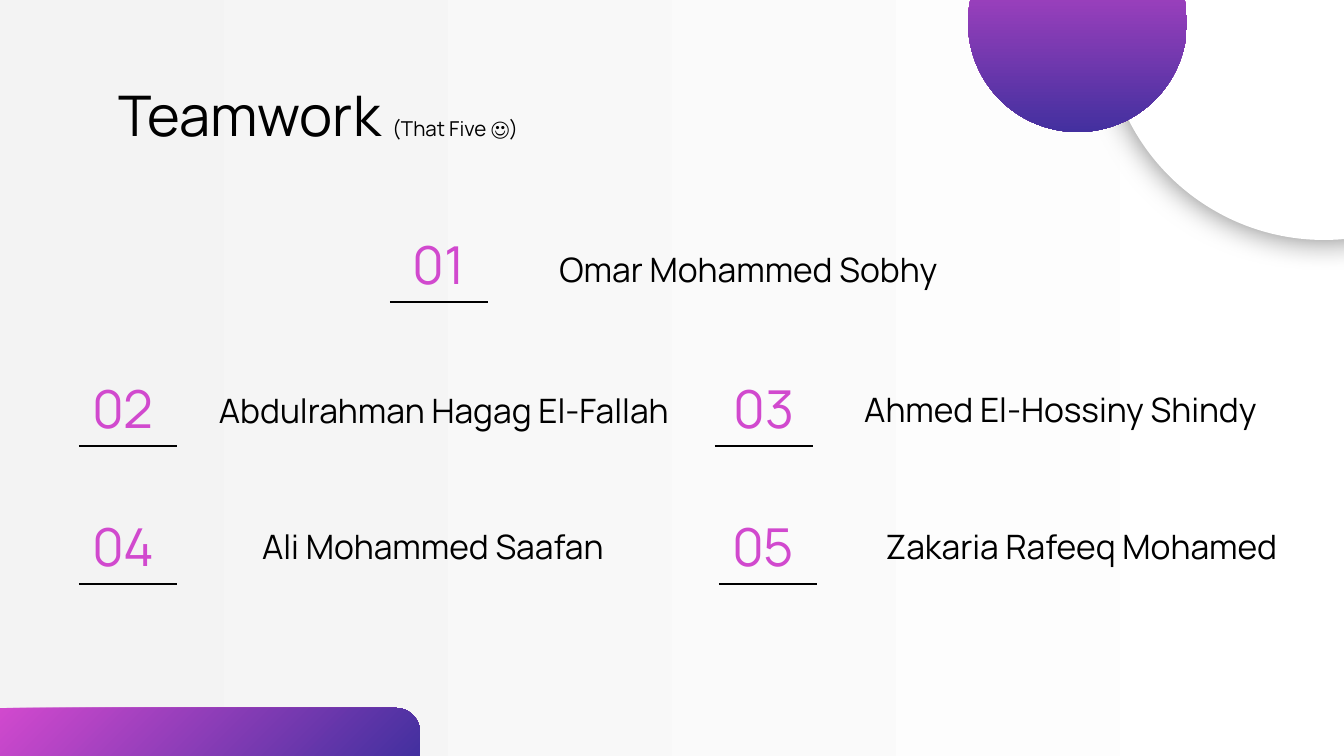
from lxml import etree
from pptx import Presentation
from pptx.dml.color import RGBColor
from pptx.enum.shapes import MSO_CONNECTOR, MSO_SHAPE
from pptx.enum.text import MSO_ANCHOR, MSO_AUTO_SIZE, PP_ALIGN
from pptx.oxml import parse_xml
from pptx.oxml.ns import nsdecls, qn
from pptx.util import Inches, Pt

EMU_PER_PX = 914400 / 134.4
FONT = "Manrope"
BLACK = RGBColor(0x00, 0x00, 0x00)
WHITE = RGBColor(0xFF, 0xFF, 0xFF)
PALE_GRAY = RGBColor(0xF3, 0xF3, 0xF3)
PINK = RGBColor(0xD1, 0x49, 0xCE)
PURPLE = RGBColor(0x43, 0x30, 0x9F)

TITLE, SUBTITLE = "Teamwork ", "(That Five ☺)"
LEFT, CENTER = PP_ALIGN.LEFT, PP_ALIGN.CENTER
# Number, its left, top and alignment; name, its box
MEMBERS = [
    ("01", 390, 238, CENTER, "Omar Mohammed Sobhy", (499, 238, 499, 63)),
    ("02", 79, 382, LEFT, "Abdulrahman Hagag El-Fallah", (169, 382, 550, 56)),
    ("03", 715, 382, CENTER, "Ahmed El-Hossiny Shindy", (824, 383, 473, 52)),
    ("04", 79, 520, LEFT, "Ali Mohammed Saafan", (216, 520, 434, 52)),
    ("05", 719, 520, LEFT, "Zakaria Rafeeq Mohamed", (825, 520, 513, 52)),
]
NUMBER_WIDTH, NUMBER_HEIGHT, RULE_OFFSET = 98, 52, 64


def px(*lengths):
    """Turn pixel lengths into EMU."""
    return [round(length * EMU_PER_PX) for length in lengths]


def fill_gradient(fill, start, end, angle):
    """Fill with two colours; the angle runs counter-clockwise."""
    fill.gradient()
    fill.gradient_angle = angle
    for stop, color, position in zip(fill.gradient_stops, (start, end), (0, 1)):
        stop.color.rgb = color
        stop.position = position


def add_plain_shape(slide, kind, box):
    shape = slide.shapes.add_shape(kind, *px(*box))
    shape.shadow.inherit = False
    shape.line.fill.background()
    return shape


def set_frame(frame):
    frame.word_wrap = True
    frame.auto_size = MSO_AUTO_SIZE.NONE
    frame.vertical_anchor = MSO_ANCHOR.MIDDLE
    frame.margin_left = frame.margin_right = Inches(0.1)
    frame.margin_top = frame.margin_bottom = Inches(0.1)


def set_font(font, size, color):
    font.name = FONT
    font.size = Pt(size)
    font.color.rgb = color


def add_label(slide, text, box, size, color, alignment):
    frame = slide.shapes.add_textbox(*px(*box)).text_frame
    set_frame(frame)
    paragraph = frame.paragraphs[0]
    paragraph.text = text
    paragraph.alignment = alignment
    set_font(paragraph.font, size, color)


def add_rule(slide, left, top):
    rule = slide.shapes.add_connector(
        MSO_CONNECTOR.STRAIGHT, *px(left, top, left + NUMBER_WIDTH, top))
    rule.line.color.rgb = BLACK
    rule.line.width = Pt(0.75)
    etree.SubElement(rule._element.spPr, qn("a:effectLst"))


def add_soft_shadow(shape):
    effects = shape._element.spPr.find(qn("a:effectLst"))
    effects.append(parse_xml(
        f'<a:outerShdw {nsdecls("a")} blurRad="{Pt(16.9)}" dist="0" dir="0">'
        '<a:srgbClr val="000000"><a:alpha val="50000"/></a:srgbClr>'
        '</a:outerShdw>'))


def add_title(slide):
    title = slide.shapes.title
    title.left, title.top, title.width, title.height = px(105, 79, 1134, 70)
    set_frame(title.text_frame)
    paragraph = title.text_frame.paragraphs[0]
    paragraph.alignment = LEFT
    for text, size in ((TITLE, 30), (SUBTITLE, 11)):
        run = paragraph.add_run()
        run.text = text
        set_font(run.font, size, BLACK)


def main():
    presentation = Presentation()
    presentation.slide_width, presentation.slide_height = px(1344, 756)
    slide = presentation.slides.add_slide(presentation.slide_layouts[5])
    fill_gradient(slide.background.fill, WHITE, PALE_GRAY, 180)

    corner = add_plain_shape(slide, MSO_SHAPE.ROUND_1_RECTANGLE, (0, 708, 420, 48))
    corner.adjustments[0] = 0.5
    fill_gradient(corner.fill, PINK, PURPLE, 315)

    add_title(slide)
    for number, left, top, alignment, name, name_box in MEMBERS:
        number_box = (left, top, NUMBER_WIDTH, NUMBER_HEIGHT)
        add_label(slide, number, number_box, 28, PINK, alignment)
        add_label(slide, name, name_box, 18, BLACK, CENTER)
        add_rule(slide, left, top + RULE_OFFSET)

    white_circle = add_plain_shape(slide, MSO_SHAPE.OVAL, (1105, -198, 438, 438))
    white_circle.fill.solid()
    white_circle.fill.fore_color.rgb = WHITE
    add_soft_shadow(white_circle)
    purple_circle = add_plain_shape(slide, MSO_SHAPE.OVAL, (968, -87, 219, 219))
    fill_gradient(purple_circle.fill, PINK, PURPLE, 270)

    presentation.save("out.pptx")


if __name__ == "__main__":
    main()
